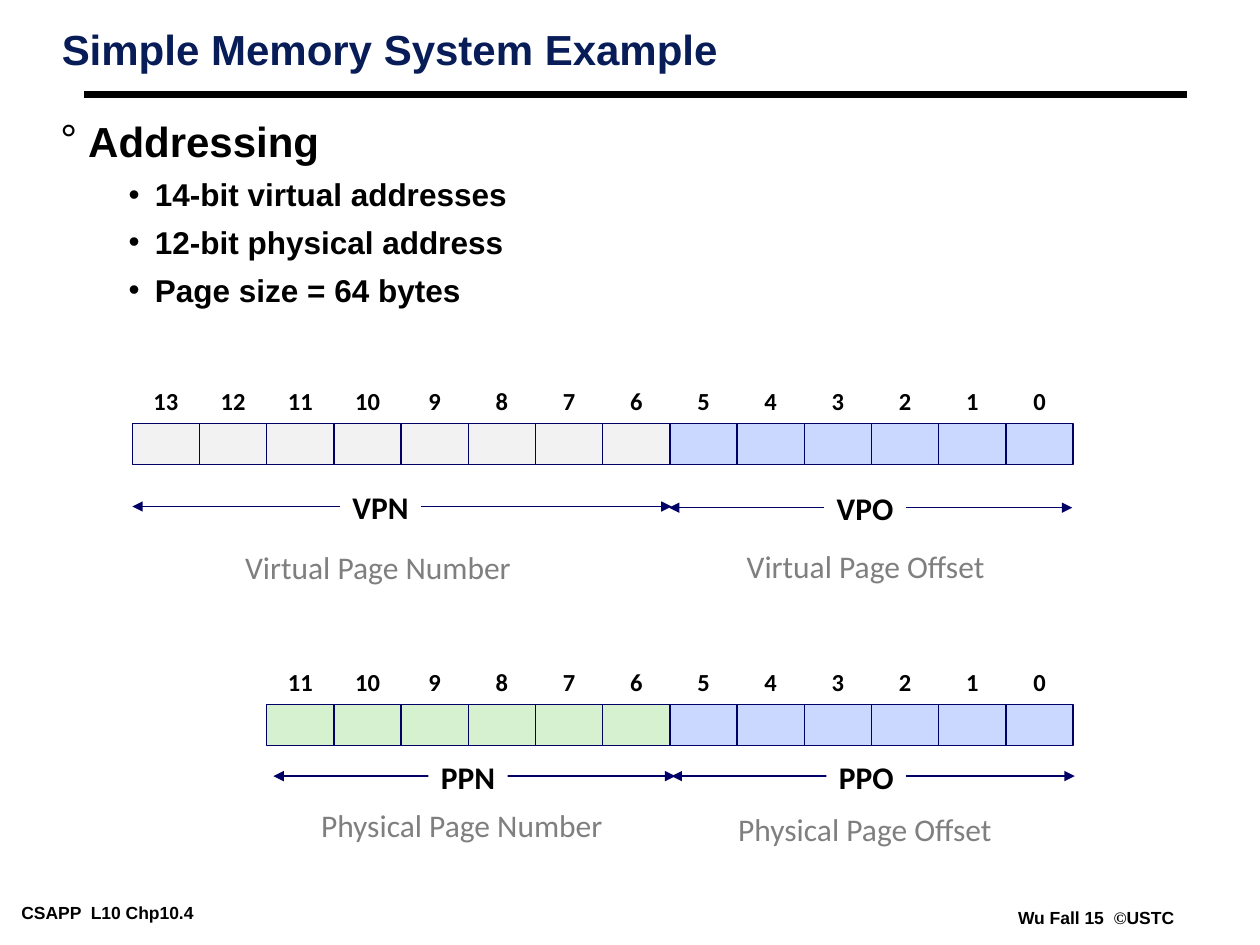
import pptx
import pptx.util
import pptx.dml.color
import pptx.enum.shapes
import pptx.enum.text
import pptx.oxml.ns
from lxml import etree

THEME = {
    "title": "081D58", "text": "000000", "caption": "7F7F7F", "outline": "000066",
    "paper": "FFFFFF", "virtual": "F2F2F2", "physical": "D5F1CF", "offset": "CAD7FE",
    "heading_size": 24, "body_size": 18, "bit_size": 14, "footer_size": 10,
    "heading_font": "Arial", "diagram_font": "Calibri", "symbol_font": "Times New Roman",
}
RGB = pptx.dml.color.RGBColor.from_string
ALIGN = pptx.enum.text.PP_ALIGN
NARROW = (0.07, 0.03)
WIDE = (0.1, 0.05)
FIELD = (0.05, 0.05)

deck = pptx.Presentation()
deck.slide_width = pptx.util.Inches(10)
deck.slide_height = pptx.util.Inches(7.5)
page = deck.slides.add_slide(deck.slide_layouts[6])

# All places are percentages of the slide's width and height
ACROSS = deck.slide_width / 100
DOWN = deck.slide_height / 100
COLUMN, ROW = 16 / 3, 4.4
GRID_LEFT, BITS = 10.5, 14
OFFSET_BITS = 6


def add_box(shapes, place, lines, size, font=THEME["heading_font"], color="text",
            bold=True, fill=None, inset=NARROW, wrap=False, grow=True,
            align=ALIGN.LEFT, spacing=1.0, before=0):
    left, top, width, height = place
    area = [round(length) for length in
            (left * ACROSS, top * DOWN, width * ACROSS, height * DOWN)]
    if fill:
        box = shapes.add_shape(pptx.enum.shapes.MSO_SHAPE.RECTANGLE, *area)
        box.shadow.inherit = False
        box.fill.solid()
        box.fill.fore_color.rgb = RGB(THEME[fill])
        box.line.fill.background()
    else:
        box = shapes.add_textbox(*area)
    frame = box.text_frame
    frame.word_wrap = wrap
    frame.vertical_anchor = pptx.enum.text.MSO_ANCHOR.TOP
    if grow:
        frame.auto_size = pptx.enum.text.MSO_AUTO_SIZE.SHAPE_TO_FIT_TEXT
    frame.margin_left = frame.margin_right = pptx.util.Inches(inset[0])
    frame.margin_top = frame.margin_bottom = pptx.util.Inches(inset[1])
    frame.text = "\n".join(lines)
    for para in frame.paragraphs:
        para.alignment = align
        para.line_spacing = spacing
        para.space_before = pptx.util.Pt(before)
        para.font.name = font
        para.font.size = pptx.util.Pt(THEME[size])
        para.font.bold = bold
        para.font.color.rgb = RGB(THEME[color])
    return box


def add_line(shapes, start, end, height, color, weight, arrows=False):
    line = shapes.add_connector(
        pptx.enum.shapes.MSO_CONNECTOR.STRAIGHT, round(start * ACROSS),
        round(height * DOWN), round(end * ACROSS), round(height * DOWN))
    line.line.color.rgb = RGB(THEME[color])
    line.line.width = pptx.util.Pt(weight)
    if arrows:
        for tip in ("a:headEnd", "a:tailEnd"):
            etree.SubElement(line.line._get_or_add_ln(), pptx.oxml.ns.qn(tip), type="triangle")
    etree.SubElement(line._element.spPr, pptx.oxml.ns.qn("a:effectLst"))


# Footer and rule under the title
add_box(page.shapes, (1, 95.07, 21, 2.93), ["CSAPP  L10 Chp10.4"], "footer_size")
credit = add_box(page.shapes, (80.1, 95.6, 13.8, 2.93), ["Wu Fall 15  "], "footer_size")
for words, font in (("©", "symbol_font"), ("USTC", "heading_font")):
    span = credit.text_frame.paragraphs[0].add_run()
    span.text = words
    span.font.name = THEME[font]
add_line(page.shapes, 6.7, 94.2, 10, "text", 4.5)

# Title and bullets
add_box(page.shapes, (4.2, 2.8, 79.9, 8.4), ["Simple Memory System Example"],
        "heading_size", color="title", wrap=True, spacing=0.87)
body = add_box(page.shapes, (4.1, 13.07, 90.9, 23.07),
               ["Addressing", "14-bit virtual addresses", "12-bit physical address",
                "Page size = 64 bytes"],
               "body_size", wrap=True, grow=False, spacing=0.85, before=9)
for number, para in enumerate(body.text_frame.paragraphs):
    margin, indent, mark = (0.75, -0.21, "•") if number else (0.22, -0.22, "°")
    para.level = 1 if number else 0
    settings = para._p.get_or_add_pPr()
    settings.set("marL", str(pptx.util.Inches(margin)))
    settings.set("indent", str(pptx.util.Inches(indent)))
    run_settings = settings.find(pptx.oxml.ns.qn("a:defRPr"))
    for tag, attributes in (("a:buFont", {"typeface": THEME["heading_font"]}),
                            ("a:buChar", {"char": mark})):
        run_settings.addprevious(etree.Element(pptx.oxml.ns.qn(tag), attributes))
heading = body.text_frame.paragraphs[0]
heading.font.size = pptx.util.Pt(THEME["heading_size"])
heading.line_spacing = 0.75
heading.space_before = pptx.util.Pt(19.5)

# Address rows: one numbered cell per bit, aligned on bit 0
for bits, top, number_fill in ((14, 44.8, "virtual"), (12, 74.53, "physical")):
    for bit in reversed(range(bits)):
        left = GRID_LEFT + (BITS - 1 - bit) * COLUMN
        cell = add_box(page.shapes, (left, top, COLUMN, ROW), [""], "bit_size", grow=False,
                       fill="offset" if bit < OFFSET_BITS else number_fill)
        cell.line.color.rgb = RGB(THEME["outline"])
        cell.line.width = pptx.util.Pt(0.75)
        label = add_box(page.shapes, (left, top - ROW, COLUMN, ROW), [str(bit)], "bit_size",
                        THEME["diagram_font"], inset=WIDE, grow=False,
                        align=ALIGN.CENTER, spacing=0.88, before=5.2)
        label.text_frame.vertical_anchor = pptx.enum.text.MSO_ANCHOR.MIDDLE

# Field spans: arrow start, end and height, then the label's left, top and width
for name, start, end, height, left, top, width in (
        ("VPO", 53.1, 85.1, 53.73, 65.4, 51.6, 6.5),
        ("PPO", 53.3, 85.3, 82.13, 65.6, 80.13, 6.3),
        ("PPN", 21.7, 53.6, 82.13, 34, 80.13, 6.3),
        ("VPN", 10.5, 53.3, 53.6, 27, 51.47, 6.4)):
    field = page.shapes.add_group_shape()
    add_line(field.shapes, start, end, height, "outline", 0.75, arrows=True)
    add_box(field.shapes, (left, top, width, 4.8), [name], "body_size",
            THEME["diagram_font"], fill="paper", inset=FIELD, grow=False,
            align=ALIGN.CENTER, spacing=0.88, before=6.8)

# Captions spelling out the field names
for words, left, top, width in (
        ("Virtual Page Number", 18.4, 57.87, 23.2),
        ("Virtual Page Offset", 58.2, 57.73, 21),
        ("Physical Page Number", 24.4, 85.2, 24.5),
        ("Physical Page Offset", 57.5, 85.6, 22.3)):
    add_box(page.shapes, (left, top, width, 4.8), [words], "body_size",
            THEME["diagram_font"], "caption", bold=False, inset=WIDE,
            align=ALIGN.CENTER, spacing=0.88, before=6.8)

deck.save("out.pptx")
